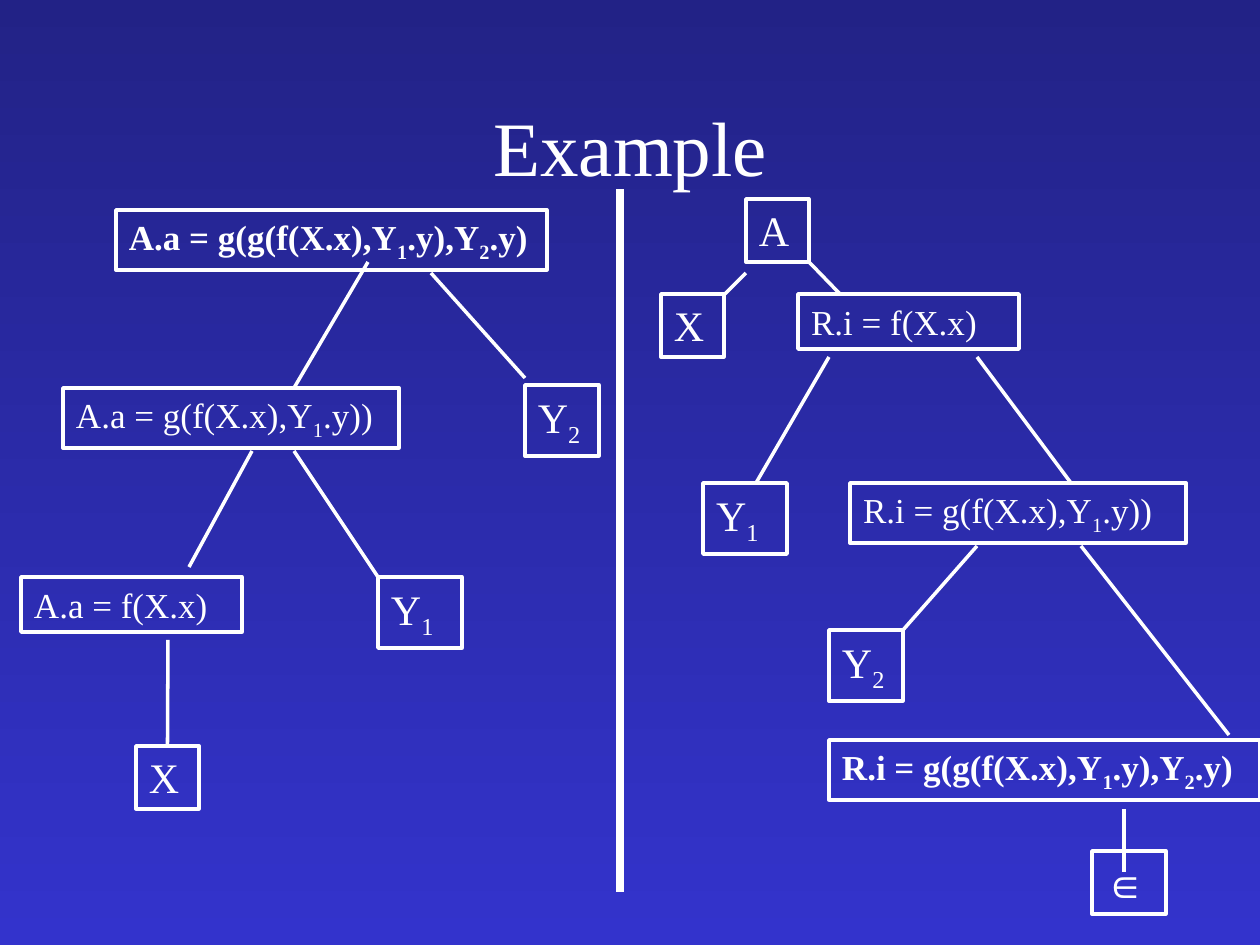
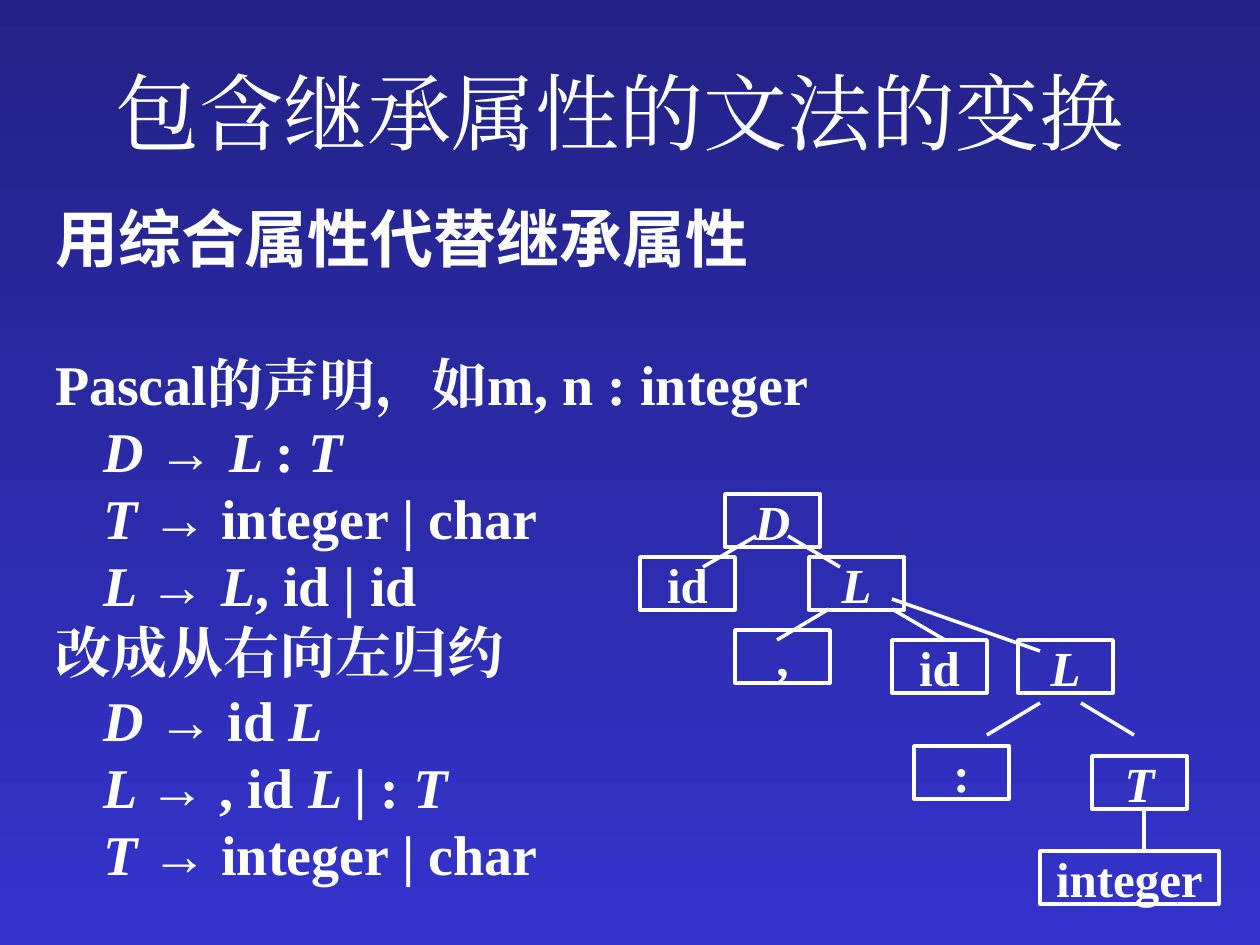
from lxml import etree
from pptx import Presentation
from pptx.dml.color import RGBColor
from pptx.enum.shapes import MSO_CONNECTOR, MSO_SHAPE
from pptx.enum.text import MSO_ANCHOR, MSO_AUTO_SIZE, PP_ALIGN
from pptx.oxml.ns import qn
from pptx.util import Pt

RECT, STRAIGHT = MSO_SHAPE.RECTANGLE, MSO_CONNECTOR.STRAIGHT
TOP, MIDDLE = MSO_ANCHOR.TOP, MSO_ANCHOR.MIDDLE
LEFT, CENTER = PP_ALIGN.LEFT, PP_ALIGN.CENTER
NO_FIT = MSO_AUTO_SIZE.NONE

WHITE, NAVY, BLUE = "FFFFFF", "222286", "3333CC"
SERIF, SANS, CJK = "Times New Roman", "Arial", "Noto Sans CJK SC"
INSET = (13, 6, 13, 6)
ARROW = ("→", "a")


def px(n):
    return round(n * 914400 / 126)


def rgb(color):
    return RGBColor.from_string(color)


def add_runs(p, runs, size, bold=False, font=SERIF):
    """Each run is (text, flags): i italic, s subscript, a sans-serif."""
    for text, flags in runs:
        r = p.add_run()
        r.text = text
        r.font.size = Pt(size)
        r.font.bold = bold
        r.font.italic = "i" in flags
        r.font.color.rgb = rgb(WHITE)
        r.font.name = SANS if "a" in flags else font
        rPr = r._r.get_or_add_rPr()
        etree.SubElement(rPr, qn("a:ea")).set("typeface", font)
        if "s" in flags:
            rPr.set("baseline", "-25000")


def place(sp, box):
    sp.left, sp.top, sp.width, sp.height = map(px, box)


def frame(sp, anchor, wrap=True):
    tf = sp.text_frame
    tf.auto_size = NO_FIT
    tf.word_wrap = wrap
    tf.vertical_anchor = anchor
    tf.margin_left, tf.margin_top, tf.margin_right, tf.margin_bottom = map(px, INSET)
    return tf


def add_title(slide, box, text, size):
    sp = slide.shapes.title
    place(sp, box)
    p = frame(sp, MIDDLE).paragraphs[0]
    p.alignment = CENTER
    add_runs(p, [(text, "")], size)


def add_line(slide, x1, y1, x2, y2, weight=2):
    line = slide.shapes.add_connector(STRAIGHT, px(x1), px(y1), px(x2), px(y2))
    line.line.color.rgb = rgb(WHITE)
    line.line.width = Pt(weight)
    etree.SubElement(line._element.spPr, qn("a:effectLst"))
    return line


def add_node(slide, box, runs, size, bold, centred):
    sp = slide.shapes.add_shape(RECT, *map(px, box))
    sp.shadow.inherit = False
    sp.fill.background()
    sp.line.color.rgb = rgb(WHITE)
    sp.line.width = Pt(2)
    tf = frame(sp, MIDDLE if centred else TOP, wrap=not centred)
    p = tf.paragraphs[0]
    p.alignment = CENTER if centred else LEFT
    add_runs(p, runs, size, bold)
    return sp


def add_tree(slide, x, y, nodes, edges, centred=False):
    """Nodes are (x, y, kind, runs) and edges (x1, y1, x2, y2), from the tree's corner."""
    shapes = []
    for nx, ny, kind, runs in nodes:
        w, h, size, bold = NODE_KINDS[kind]
        shapes.append(add_node(slide, (x + nx, y + ny, w, h), runs, size, bold, centred))
    lines = [add_line(slide, x + x1, y + y1, x + x2, y + y2)
             for x1, y1, x2, y2 in edges]
    return shapes, lines


# Node kinds: width, height, text size, bold
NODE_KINDS = {
    "root": (431, 60, 20, True),
    "inner": (336, 60, 20, False),
    "leaf": (221, 55, 20, False),
    "letter": (63, 63, 24, False),
    "empty": (74, 63, 24, False),
    "y1": (84, 71, 24, False),
    "y2": (74, 71, 24, False),
    "symbol": (95, 53, 28, True),
    "word": (179, 53, 28, True),
}
Y1 = [("Y", ""), ("1", "s")]
Y2 = [("Y", ""), ("2", "s")]


def attribute_rules(name):
    """The three values an attribute takes, innermost first."""
    return (
        [(f"{name} = f(X.x)", "")],
        [(f"{name} = g(f(X.x),Y", ""), ("1", "s"), (".y))", "")],
        [(f"{name} = g(g(f(X.x),Y", ""), ("1", "s"), (".y),Y", ""),
         ("2", "s"), (".y)", "")],
    )


def example_slide(prs):
    slide = prs.slides.add_slide(prs.slide_layouts[5])
    add_title(slide, (95, 67, 1071, 158), "Example", 44)
    add_line(slide, 620, 189, 620, 892, weight=4.5)

    # Left tree: synthesized attribute A.a
    leaf, inner, root = attribute_rules("A.a")
    nodes = [
        (115, 536, "letter", [("X", "")]),
        (95, 0, "root", root),
        (42, 178, "inner", inner),
        (0, 367, "leaf", leaf),
        (357, 367, "y1", Y1),
        (504, 175, "y2", Y2),
    ]
    edges = [
        (147, 430, 147, 536),
        (347, 52, 273, 178),
        (231, 241, 168, 357),
        (273, 241, 357, 367),
        (410, 63, 504, 168),
    ]
    shapes, lines = add_tree(slide, 21, 210, nodes, edges)
    lines[0].end_connect(shapes[0], 0)

    # Right tree: inherited attribute R.i
    leaf, inner, root = attribute_rules("R.i")
    nodes = [
        (85, 0, "letter", [("A", "")]),
        (0, 95, "letter", [("X", "")]),
        (137, 95, "leaf", leaf),
        (42, 284, "y1", Y1),
        (189, 284, "inner", inner),
        (168, 431, "y2", Y2),
        (168, 541, "root", root),
        (431, 652, "empty", [("∈", "a")]),
    ]
    edges = [
        (85, 74, 64, 95),
        (148, 63, 179, 95),
        (168, 158, 95, 284),
        (316, 158, 410, 284),
        (316, 347, 242, 431),
        (420, 347, 568, 536),
        (463, 610, 463, 673),
    ]
    add_tree(slide, 661, 199, nodes, edges)


def add_grammar(slide, box):
    sp = slide.placeholders[1]
    place(sp, box)
    tf = frame(sp, TOP)

    def add_paragraph(p, runs, size, indent=0, pitch=38.4, before=0, font=SERIF):
        pPr = p._p.get_or_add_pPr()
        pPr.set("marL", str(px(indent)))
        pPr.set("indent", "0")
        etree.SubElement(pPr, qn("a:buNone"))
        p.line_spacing = Pt(pitch)
        p.space_before = Pt(before)
        add_runs(p, runs, size, bold=True, font=font)

    add_paragraph(tf.paragraphs[0], [("用综合属性代替继承属性", "")], 36, pitch=46, font=CJK)
    types = [("T ", "i"), ARROW, (" integer | char", "")]
    sections = [
        ("Pascal的声明，如m, n : integer", 42, [
            [("D ", "i"), ARROW, (" ", "a"), ("L ", "i"), (":", ""), (" T", "i")],
            types,
            [("L ", "i"), ARROW, (" ", "a"), ("L", "i"), (", id | id", "")],
        ]),
        ("改成从右向左归约", 0, [
            [("D ", "i"), ARROW, (" id ", ""), ("L", "i")],
            [("L ", "i"), ARROW, (" , id ", ""), ("L ", "i"), ("| : ", ""), ("T", "i")],
            types,
        ]),
    ]
    for heading, before, productions in sections:
        add_paragraph(tf.add_paragraph(), [(heading, "")], 32, before=before)
        for production in productions:
            add_paragraph(tf.add_paragraph(), production, 32, indent=48)


def grammar_slide(prs):
    slide = prs.slides.add_slide(prs.slide_layouts[1])
    add_title(slide, (42, 32, 1155, 158), "包含继承属性的文法的变换", 48)
    add_grammar(slide, (42, 189, 1187, 735))

    # Parse tree of the rewritten grammar
    symbols = [
        (85, 0, "D", "i"),
        (0, 63, "id", ""),
        (169, 63, "L", "i"),
        (95, 136, ",", ""),
        (252, 146, "id", ""),
        (378, 146, "L", "i"),
        (274, 252, ":", ""),
        (452, 262, "T", "i"),
    ]
    nodes = [(x, y, "symbol", [(text, flags)]) for x, y, text, flags in symbols]
    nodes.append((400, 357, "word", [("integer", "")]))
    edges = [
        (116, 42, 63, 73),
        (148, 42, 200, 73),
        (189, 115, 137, 146),
        (252, 115, 305, 146),
        (252, 105, 400, 157),
        (400, 209, 347, 241),
        (441, 209, 494, 241),
        (504, 315, 504, 357),
    ]
    add_tree(slide, 640, 494, nodes, edges, centred=True)


def set_background(master):
    fill = master.background.fill
    fill.gradient()
    fill.gradient_angle = 270
    for stop, color in zip(fill.gradient_stops, (NAVY, BLUE)):
        stop.color.rgb = rgb(color)


def main():
    prs = Presentation()
    prs.slide_width, prs.slide_height = px(1260), px(945)
    set_background(prs.slide_master)
    example_slide(prs)
    grammar_slide(prs)
    prs.save("out.pptx")


if __name__ == "__main__":
    main()
